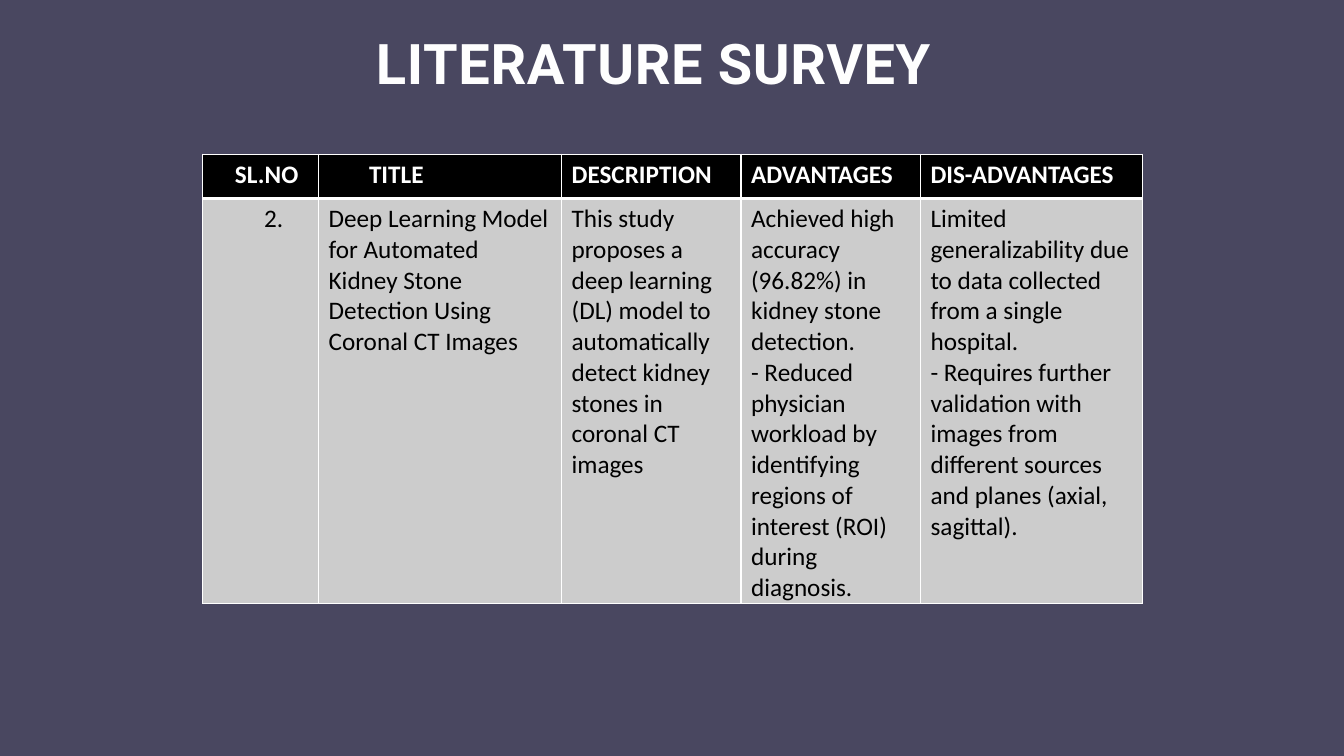
from lxml import etree
from pptx import Presentation
from pptx.dml.color import RGBColor
from pptx.enum.shapes import MSO_SHAPE
from pptx.enum.text import MSO_ANCHOR, PP_ALIGN
from pptx.oxml import parse_xml
from pptx.oxml.ns import nsdecls, qn
from pptx.util import Inches, Pt

WHITE, BLACK, GREY = "FFFFFF", "000000", "CCCCCC"
NAVY, BLUE, TITLE_WHITE = "0D0A2C", "4472C4", "FEFEFE"

COLUMN_WIDTHS = [1.15, 2.41, 1.78, 1.78, 2.2]
ROW_HEIGHTS = [0.44, 4.0]
HEADERS = ["SL.NO", "TITLE", "DESCRIPTION", "ADVANTAGES", "DIS-ADVANTAGES"]
SURVEY_ENTRY = [
    "2.",
    "Deep Learning Model for Automated Kidney Stone Detection Using Coronal CT Images",
    "This study proposes a deep learning (DL) model to automatically detect "
    "kidney stones in coronal CT images",
    "Achieved high accuracy (96.82%) in kidney stone detection.\n"
    "- Reduced physician workload by identifying regions of interest (ROI) during diagnosis.",
    "Limited generalizability due to data collected from a single hospital.\n"
    "- Requires further validation with images from different sources and planes "
    "(axial, sagittal).",
]
# Extra left inset of single cells, by row and column
INDENTS = {(0, 0): 0.22, (0, 1): 0.4, (1, 0): 0.51}


def rgb(value):
    return RGBColor.from_string(value)


def add_backdrop(presentation, slide):
    shape = slide.shapes.add_shape(
        MSO_SHAPE.RECTANGLE, 0, 0, presentation.slide_width, presentation.slide_height)
    shape.shadow.inherit = False
    shape.line.fill.background()
    shape.fill.solid()
    shape.fill.fore_color.rgb = rgb(NAVY)
    color = shape.fill._xPr.find(qn("a:solidFill"))[0]
    etree.SubElement(color, qn("a:alpha"), val="75000")
    # Send behind the title
    slide.shapes._spTree.insert(2, shape._element)


def format_title(slide, text):
    title = slide.shapes.title
    title.left, title.top = Inches(3.03), Inches(0.23)
    title.width, title.height = Inches(7.05), Inches(0.77)
    frame = title.text_frame
    frame.vertical_anchor = MSO_ANCHOR.TOP
    paragraph = frame.paragraphs[0]
    paragraph.alignment = PP_ALIGN.CENTER
    run = paragraph.add_run()
    run.text = text
    run.font.name, run.font.size, run.font.bold = "Roboto", Pt(40), True
    run.font.color.rgb = rgb(TITLE_WHITE)
    # Letter spacing, outline and soft blue shadow
    properties = run.font._element
    properties.set("spc", "50")
    properties.insert(0, parse_xml(
        f'<a:ln {nsdecls("a")} w="9525"><a:solidFill><a:srgbClr val="{BLUE}"/>'
        '</a:solidFill></a:ln>'))
    properties.insert(2, parse_xml(
        f'<a:effectLst {nsdecls("a")}><a:outerShdw blurRad="38100" dist="22860" '
        f'dir="5400000"><a:srgbClr val="{BLUE}"/></a:outerShdw></a:effectLst>'))


def set_borders(cell, bottom_width):
    properties = cell._tc.get_or_add_tcPr()
    widths = {"lnL": 1, "lnR": 1, "lnT": 1, "lnB": bottom_width}
    for index, (side, width) in enumerate(widths.items()):
        properties.insert(index, parse_xml(
            f'<a:{side} {nsdecls("a")} w="{Pt(width)}"><a:solidFill>'
            f'<a:srgbClr val="{WHITE}"/></a:solidFill></a:{side}>'))


def fill_cell(cell, text, indent, is_header):
    cell.text = text
    cell.margin_left = Inches(0.1 + indent)
    cell.margin_bottom = 0
    cell.fill.solid()
    cell.fill.fore_color.rgb = rgb(BLACK if is_header else GREY)
    set_borders(cell, 3 if is_header else 1)
    for paragraph in cell.text_frame.paragraphs:
        font = paragraph.font
        font.name, font.size, font.bold = "Calibri", Pt(18), is_header
        font.color.rgb = rgb(WHITE if is_header else BLACK)


def add_survey_table(slide):
    rows = [HEADERS, SURVEY_ENTRY]
    table = slide.shapes.add_table(
        len(rows), len(HEADERS), Inches(2.01), Inches(1.53),
        Inches(sum(COLUMN_WIDTHS)), Inches(sum(ROW_HEIGHTS))).table
    for column, width in zip(table.columns, COLUMN_WIDTHS):
        column.width = Inches(width)
    for row, height in zip(table.rows, ROW_HEIGHTS):
        row.height = Inches(height)
    for row, texts in enumerate(rows):
        for column, text in enumerate(texts):
            fill_cell(table.cell(row, column), text,
                      INDENTS.get((row, column), 0), row == 0)


def main():
    presentation = Presentation()
    presentation.slide_width, presentation.slide_height = Inches(13.33), Inches(7.5)
    slide = presentation.slides.add_slide(presentation.slide_layouts[5])
    add_backdrop(presentation, slide)
    format_title(slide, "LITERATURE SURVEY ")
    add_survey_table(slide)
    presentation.save("out.pptx")


if __name__ == "__main__":
    main()
